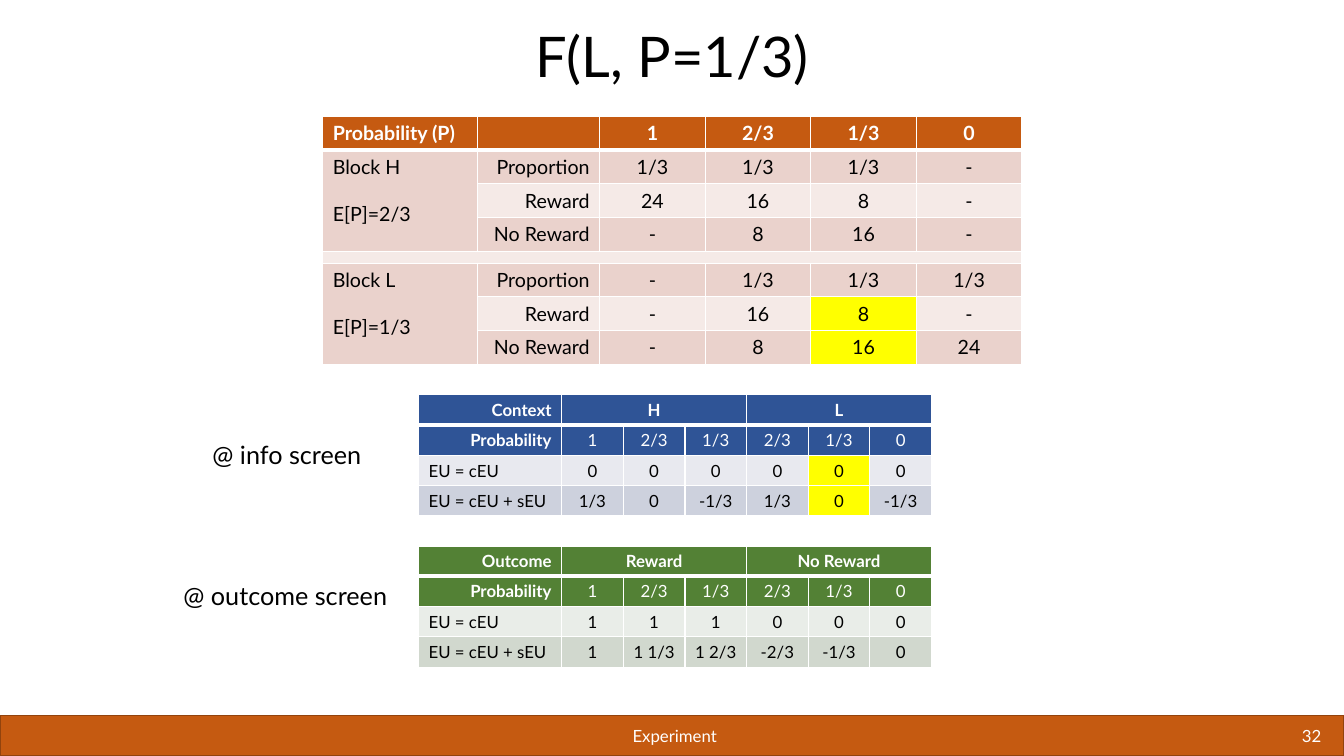
from dataclasses import dataclass

from lxml.etree import SubElement
from pptx import Presentation
from pptx.dml.color import RGBColor
from pptx.enum.shapes import MSO_SHAPE
from pptx.enum.text import MSO_ANCHOR, MSO_AUTO_SIZE, PP_ALIGN
from pptx.oxml.ns import qn
from pptx.util import Pt


@dataclass(frozen=True)
class Theme:
    font: str = "Lato"
    black: str = "000000"
    white: str = "FFFFFF"
    orange: str = "C55A11"
    bar_edge: str = "92430D"
    blue: str = "2F5496"
    green: str = "538135"
    highlight: str = "FFFF00"
    orange_bands: tuple = ("F5EAE7", "EAD2CC")
    blue_bands: tuple = ("E8E9EF", "CDD1DD")
    green_bands: tuple = ("E9EDE8", "D1D8CE")
    title: int = 40
    label: int = 18
    design: int = 14
    small: int = 12
    spacer: int = 1


THEME = Theme()
LEFT, CENTER, RIGHT = PP_ALIGN.LEFT, PP_ALIGN.CENTER, PP_ALIGN.RIGHT

DESIGN = [
    ["Probability (P)", "", "1", "2/3", "1/3", "0"],
    ["Block H\nE[P]=2/3", "Proportion", "1/3", "1/3", "1/3", "-"],
    ["", "Reward", "24", "16", "8", "-"],
    ["", "No Reward", "-", "8", "16", "-"],
    [""] * 6,
    ["Block L\nE[P]=1/3", "Proportion", "-", "1/3", "1/3", "1/3"],
    ["", "Reward", "-", "16", "8", "-"],
    ["", "No Reward", "-", "8", "16", "24"],
]
PROBABILITY = ["Probability", "1", "2/3", "1/3", "2/3", "1/3", "0"]
INFO = [
    ["Context", "H", "", "", "L", "", ""],
    PROBABILITY,
    ["EU = cEU"] + ["0"] * 6,
    ["EU = cEU + sEU", "1/3", "0", "-1/3", "1/3", "0", "-1/3"],
]
OUTCOME = [
    ["Outcome", "Reward", "", "", "No Reward", "", ""],
    PROBABILITY,
    ["EU = cEU", "1", "1", "1", "0", "0", "0"],
    ["EU = cEU + sEU", "1", "1 1/3", "1 2/3", "-2/3", "-1/3", "0"],
]


def color(code):
    return RGBColor.from_string(code)


def style_text(frame, size, ink, align, bold=False):
    for para in frame.paragraphs:
        para.alignment = align
        for span in para.runs:
            span.font.name = THEME.font
            span.font.size = Pt(size)
            span.font.bold = bold
            span.font.color.rgb = color(ink)


def add_text(page, text, left, top, width, height, size, ink, align,
             anchor=MSO_ANCHOR.MIDDLE, wrap=True):
    box = page.shapes.add_textbox(Pt(left), Pt(top), Pt(width), Pt(height))
    frame = box.text_frame
    frame.text = text
    frame.word_wrap = wrap
    frame.auto_size = MSO_AUTO_SIZE.NONE if wrap else MSO_AUTO_SIZE.SHAPE_TO_FIT_TEXT
    frame.vertical_anchor = anchor
    style_text(frame, size, ink, align)
    return frame


def add_label(page, text, left, top, width):
    add_text(page, text, left, top, width, 28.8, THEME.label, THEME.black,
             LEFT, MSO_ANCHOR.TOP, wrap=False)


def add_footer(page, top=511.2, height=28.8):
    bar = page.shapes.add_shape(MSO_SHAPE.RECTANGLE, 0, Pt(top), Pt(960), Pt(height))
    bar.shadow.inherit = False
    bar.fill.solid()
    bar.fill.fore_color.rgb = color(THEME.orange)
    bar.line.color.rgb = color(THEME.bar_edge)
    bar.line.width = Pt(1)
    for text, left, width, align in (("Experiment", 161, 642, CENTER), ("32", 803, 148, RIGHT)):
        add_text(page, text, left, top, width, height, THEME.small, THEME.white, align)


def add_borders(cell, row):
    properties = cell._tc.get_or_add_tcPr()
    widths = {"L": 1, "R": 1, "T": 3 if row == 1 else 1, "B": 3 if row == 0 else 1}
    for side, width in widths.items():
        line = SubElement(properties, qn(f"a:ln{side}"), w=str(Pt(width)))
        fill = SubElement(line, qn("a:solidFill"))
        SubElement(fill, qn("a:srgbClr"), val=THEME.white)


def fill_cell(cell, text, row, fill, size, ink, align, bold):
    add_borders(cell, row)
    cell.fill.solid()
    cell.fill.fore_color.rgb = color(fill)
    cell.text_frame.text = text
    style_text(cell.text_frame, size, ink, align, bold)
    paras = cell.text_frame.paragraphs
    for para in paras[1:]:
        para.space_before = Pt(size * 1.2)
    if not text:
        SubElement(paras[0]._p, qn("a:endParaRPr"), sz=str(size * 100))


def add_grid(page, rows, left, top, widths, heights, size, header, bands,
             header_rows, label_aligns, merges, highlights=()):
    table = page.shapes.add_table(len(rows), len(widths), Pt(left), Pt(top),
                                  Pt(sum(widths)), Pt(sum(heights))).table
    table.first_row = table.horz_banding = False
    for column, width in zip(table.columns, widths):
        column.width = Pt(width)
    for row, texts in enumerate(rows):
        table.rows[row].height = Pt(heights[row])
        is_header = row < header_rows
        row_size = size if any(texts) else THEME.spacer
        aligns = label_aligns[is_header]
        for column, text in enumerate(texts):
            fill = header if is_header else bands[row % 2]
            if (row, column) in highlights:
                fill = THEME.highlight
            fill_cell(table.cell(row, column), text, row, fill, row_size,
                      THEME.white if is_header else THEME.black,
                      aligns[column] if column < len(aligns) else CENTER,
                      is_header and (row == 0 or column == 0))
    for start, end in merges:
        table.cell(*start).merge(table.cell(*end))


def add_utility_table(page, rows, top, header, bands, highlights=()):
    add_grid(page, rows, 299, top, [102.2] + [44.05] * 6, [21.65] * 4,
             THEME.small, header, bands, 2, ([LEFT], [RIGHT]),
             [((0, 1), (0, 3)), ((0, 4), (0, 6))], highlights)


def main():
    deck = Presentation()
    deck.slide_width, deck.slide_height = Pt(960), Pt(540)
    page = deck.slides.add_slide(deck.slide_layouts[6])
    add_footer(page)
    title = add_text(page, "F(L, P=1/3)", 47.5, 16.5, 865, 51, THEME.title,
                     THEME.black, CENTER, MSO_ANCHOR.BOTTOM)
    title.paragraphs[0].line_spacing = 0.9
    add_utility_table(page, INFO, 282, THEME.blue, THEME.blue_bands, {(2, 5), (3, 5)})
    add_utility_table(page, OUTCOME, 390, THEME.green, THEME.green_bands)
    add_grid(page, DESIGN, 230.5, 83, [110.7, 87.2] + [75.4] * 4,
             [24] * 4 + [8.6] + [24] * 3, THEME.design, THEME.orange,
             THEME.orange_bands, 1, ([LEFT, RIGHT], [LEFT]),
             [((1, 0), (3, 0)), ((4, 0), (4, 5)), ((5, 0), (7, 0))], {(6, 4), (7, 4)})
    add_label(page, "@ outcome screen", 124, 411, 163.5)
    add_label(page, "@ info screen", 144.7, 310.5, 122.4)
    deck.save("out.pptx")


if __name__ == "__main__":
    main()
